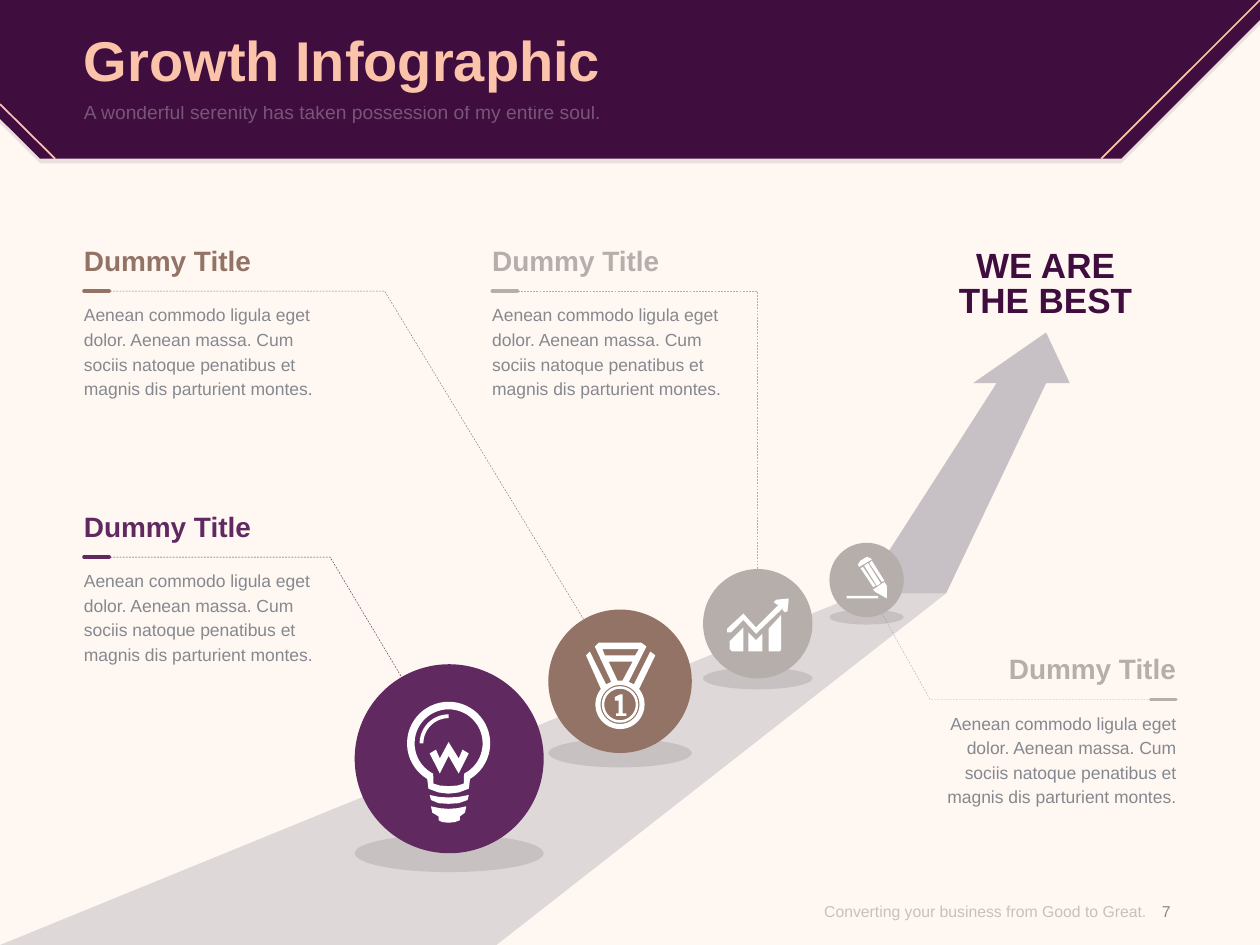
from math import cos, radians, sin

from pptx import Presentation
from pptx.dml.color import RGBColor
from pptx.enum.dml import MSO_LINE
from pptx.enum.shapes import MSO_CONNECTOR, MSO_SHAPE
from pptx.enum.text import MSO_ANCHOR, PP_ALIGN
from pptx.oxml.ns import qn
from pptx.util import Pt

CREAM = RGBColor(0xFF, 0xF7, 0xF2)
PLUM = RGBColor(0x3F, 0x0D, 0x3E)
PURPLE = RGBColor(0x60, 0x2A, 0x60)
BROWN = RGBColor(0x92, 0x73, 0x65)
TAUPE = RGBColor(0xB6, 0xAE, 0xAB)
PEACH = RGBColor(0xFB, 0xC4, 0xAA)
SLATE = RGBColor(0x60, 0x5F, 0x73)
BODY_GREY = RGBColor(0x85, 0x89, 0x8F)
FOOTER_GREY = RGBColor(0x8C, 0x8C, 0x8C)
WHITE = RGBColor(0xFF, 0xFF, 0xFF)
BLACK = RGBColor(0, 0, 0)

LEFT, RIGHT = PP_ALIGN.LEFT, PP_ALIGN.RIGHT
CENTER = PP_ALIGN.CENTER
MARGIN, COLUMN, RIGHT_EDGE = 48, 139, 672
RULE_DROP, BODY_DROP, RULE_LENGTH = 27.3, 33, 14.4
ICON_UNIT = 0.72

DUMMY = ("Aenean commodo ligula eget dolor. Aenean massa. Cum sociis natoque "
         "penatibus et magnis dis parturient montes.")


def arc(radius, start=0, end=360, steps=48):
    """Points of an arc about the origin, angles clockwise from the right."""
    angles = [radians(start + (end - start) * i / steps) for i in range(steps + 1)]
    return [(radius * cos(a), radius * sin(a)) for a in angles]


# Icon contours, in icon units about each icon's own origin
BULB = [
    arc(33, 121, 419) + [(16, 36), (8, 39), (0, 40), (-8, 39), (-16, 36)],
    arc(27, 117, 423) + [(12, 32), (7, 33.5), (0, 34), (-7, 33.5), (-12, 32)],
    arc(23, 180, 270) + arc(20, 270, 180),
    [(-15, 41), (-14, 45), (-8, 47.5), (0, 48), (8, 47.5), (15, 45), (16, 41),
     (8, 42.5), (0, 43), (-8, 42.5)],
    [(-14, 50), (-13, 55), (-8, 58), (-8, 61), (-5, 62.5), (0, 63), (5, 62.5),
     (9, 61), (9, 58), (13, 55), (14, 50), (7, 51.5), (0, 52), (-7, 51.5)],
    [(8, 12), (0, -1), (-7, 12), (-10, 5), (-15, 8), (-7, 24), (0, 10), (8, 24),
     (16, 8), (11, 5)],
]
MEDAL = [
    arc(19.5, 219, -39) + [
        (28, -39), (24, -42), (11, -16), (7, -18), (21, -46), (17, -49), (-17, -49),
        (-20, -46), (-7, -18), (-11, -16), (-24, -42), (-27, -39)],
    arc(15.5), arc(14.5), arc(12.5),
    [(-14, -44), (15, -44), (12, -39), (-12, -39)],
    [(-9, -34), (10, -34), (2, -19), (-2, -19)],
    [(2, -8), (0, -8), (-4, -6), (-4, -3), (-1, -3), (-1, 7), (-3, 7), (-3, 9),
     (5, 9), (5, 7), (2, 7)],
]
BAR_CHART = [
    [(16, -24), (14, -22), (17, -20), (19, -21), (0, -2), (-10, -13), (-23, -1),
     (-23, 2), (-20, 2), (-10, -8), (0, 3), (22, -18), (21, -16), (23, -14),
     (25, -15), (26, -25)],
    [(-21, 9), (-10, -2), (-10, 17), (-19, 17), (-21, 15)],
    [(-6, 2), (0, 8), (5, 3), (5, 17), (-6, 17)],
    [(10, -1), (20, -12), (20, 15), (19, 17), (10, 17)],
]
PENCIL = [
    [(6, 9), (7, 10), (16, 15), (16, 5), (14, 2), (5, 8)],
    [(12, 2), (14, 1), (4, -15), (2, -13)],
    [(11, 3), (1, -13), (-2, -11), (8, 5)],
    [(-5, -9), (5, 6), (7, 5), (-3, -10)],
    [(-6, -10), (4, -16), (3, -17), (0, -18), (-5, -15), (-7, -12)],
    [(-16, 13), (9, 13), (9, 15), (-16, 15)],
]


def fade(element, percent):
    """Give every colour in the element an opacity."""
    for color in element.iter(qn("a:srgbClr")):
        color.makeelement(qn("a:alpha"))
        alpha = color.makeelement(qn("a:alpha"), {"val": str(percent * 1000)})
        color.append(alpha)


class SlideBuilder:
    """Draws on one slide; all lengths are points."""

    font = "Arial"

    def __init__(self, slide):
        self.slide = slide
        self.shapes = slide.shapes

    def paint(self, shape, fill, opacity):
        shape.shadow.inherit = False
        shape.fill.solid()
        shape.fill.fore_color.rgb = fill
        shape.line.fill.background()
        if opacity < 100:
            fade(shape.fill._xPr, opacity)

    def freeform(self, contours, origin=(0, 0), unit=1, closed=True):
        placed = [[(Pt(origin[0] + x * unit), Pt(origin[1] + y * unit)) for x, y in points]
                  for points in contours]
        builder = self.shapes.build_freeform(*placed[0][0], scale=1.0)
        for index, points in enumerate(placed):
            if index:
                builder.move_to(*points[0])
            builder.add_line_segments(points[1:], close=closed)
        return builder.convert_to_shape()

    def area(self, contours, fill, opacity=100, **placing):
        self.paint(self.freeform(contours, **placing), fill, opacity)

    def leader(self, points, color):
        shape = self.freeform([points], closed=False)
        shape.shadow.inherit = False
        shape.fill.background()
        shape.line.color.rgb = color
        shape.line.width = Pt(0.25)
        shape.line.dash_style = MSO_LINE.DASH

    def line(self, start, end, color, width, cap="flat"):
        connector = self.shapes.add_connector(
            MSO_CONNECTOR.STRAIGHT, *(Pt(value) for value in (*start, *end)))
        connector.line.color.rgb = color
        connector.line.width = Pt(width)
        connector.line._get_or_add_ln().set("cap", cap)
        properties = connector._element.spPr
        properties.append(properties.makeelement(qn("a:effectLst")))

    def ellipse(self, cx, cy, width, height, fill, opacity=100):
        box = (cx - width / 2, cy - height / 2, width, height)
        self.paint(self.shapes.add_shape(MSO_SHAPE.OVAL, *map(Pt, box)), fill, opacity)

    def ball(self, cx, cy, size, fill, icon, origin):
        self.ellipse(cx, cy + size / 2, size, size / 5, BLACK, 10)
        self.ellipse(cx, cy, size, size, fill)
        self.area(icon, WHITE, origin=origin, unit=ICON_UNIT)

    def text(self, box, lines, size, color, bold=False, align=LEFT, anchor=MSO_ANCHOR.TOP,
             spacing=None, opacity=100, shape=None):
        shape = shape or self.shapes.add_textbox(0, 0, 0, 0)
        for name, value in zip(("left", "top", "width", "height"), box):
            setattr(shape, name, Pt(value))
        frame = shape.text_frame
        frame_format = dict(word_wrap=True, vertical_anchor=anchor, margin_left=0,
                            margin_top=0, margin_right=0, margin_bottom=0)
        for name, value in frame_format.items():
            setattr(frame, name, value)
        frame.text = lines
        for paragraph in frame.paragraphs:
            paragraph.alignment = align
            if spacing:
                paragraph.line_spacing = Pt(spacing)
            font = paragraph.runs[0].font
            for name, value in dict(name=self.font, size=Pt(size), bold=bold).items():
                setattr(font, name, value)
            font.color.rgb = color
        if opacity < 100:
            fade(shape._element, opacity)

    def title(self, box, words, size, color):
        placeholder = self.shapes.title
        self.shapes._spTree.append(placeholder._element)  # in front of the header
        self.text(box, words, size, color, bold=True, anchor=MSO_ANCHOR.MIDDLE,
                  shape=placeholder)

    def note(self, left, top, color, align=LEFT):
        rule_left = left if align == LEFT else left + COLUMN - RULE_LENGTH
        rule_top = top + RULE_DROP
        self.text((left, top, COLUMN, 19.5), "Dummy Title", 16, color, True, align)
        self.line((rule_left, rule_top), (rule_left + RULE_LENGTH, rule_top), color, 2, "rnd")
        self.text((left, top + BODY_DROP, COLUMN, 57), DUMMY, 10, BODY_GREY, False, align,
                  spacing=14)


def main():
    presentation = Presentation()
    presentation.slide_width, presentation.slide_height = Pt(720), Pt(540)
    slide = presentation.slides.add_slide(presentation.slide_layouts[5])
    slide.background.fill.solid()
    slide.background.fill.fore_color.rgb = CREAM
    draw = SlideBuilder(slide)

    header = [(0, 0), (720, 0), (720, 11.5), (640.8, 90.7), (23, 90.7), (0, 67.9)]
    draw.area([header], PLUM, 10, origin=(0, 2.7))
    draw.area([header], PLUM)
    draw.line((720, 0), (629.3, 90.7), PEACH, 1)
    draw.line((31.5, 90.7), (0, 59.5), PEACH, 1)

    draw.area([[(0, 540), (283.7, 540), (540.7, 339), (492.5, 339)]], SLATE, 20)
    draw.area([[(611.3, 219), (597.8, 190), (556, 219), (569.5, 219), (492.5, 339),
                (540.7, 339), (597.8, 219)]], SLATE, 35)

    draw.title((MARGIN, 10, 624, 47), "Growth Infographic", 32, PEACH)
    draw.text((MARGIN, 57.6, 624, 28), "A wonderful serenity has taken possession of my "
              "entire soul.", 11, WHITE, opacity=30)
    footer = dict(size=9, anchor=MSO_ANCHOR.MIDDLE)
    draw.text((435, 501, 220, 39), "Converting your business from Good to Great.",
              color=FOOTER_GREY, align=RIGHT, opacity=50, **footer)
    draw.text((649.5, 501, 34, 39), "7", color=BODY_GREY, align=CENTER, **footer)

    right_column = RIGHT_EDGE - COLUMN
    notes = [  # left, top, colour, alignment, leader start, bend and end
        (right_column, 372.3, TAUPE, RIGHT, 661.7, 531.4, (493.9, 332.6)),
        (MARGIN, 291, PURPLE, LEFT, 61.2, 188.6, (256.3, 432)),
        (MARGIN, 139, BROWN, LEFT, 61.2, 219.8, (354.2, 388)),
        (281.3, 139, TAUPE, LEFT, 292.3, 432.9, (432.9, 356.4)),
    ]
    for left, top, color, align, start, bend, end in notes:
        rule_top = top + RULE_DROP
        draw.leader([(start, rule_top), (bend, rule_top), end], color)

    draw.ball(256.7, 433.6, 108, PURPLE, BULB, (256.4, 424.8))
    draw.ball(354.3, 389.3, 82, BROWN, MEDAL, (354.3, 402.6))
    draw.ball(433, 356.4, 62.5, TAUPE, BAR_CHART, (432, 360))
    draw.ball(495.2, 331.4, 42.5, TAUPE, PENCIL, (495.3, 331.2))

    for left, top, color, align, *_ in notes:
        draw.note(left, top, color, align)
    draw.text((528, 143, COLUMN, 40), "WE ARE\nTHE BEST", 20, PLUM, True, CENTER, spacing=20)

    presentation.save("out.pptx")


if __name__ == "__main__":
    main()
